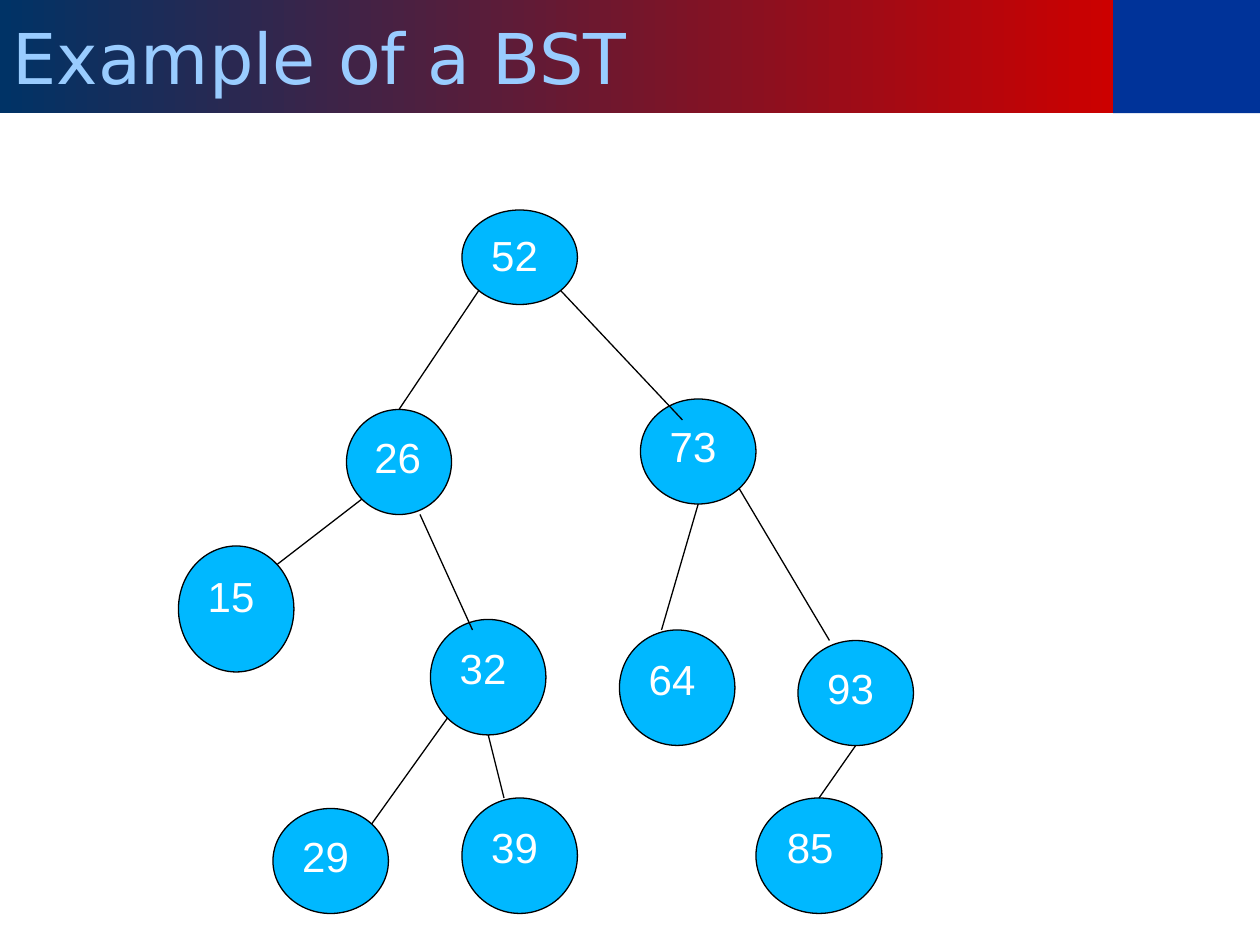
from lxml import etree
from pptx import Presentation
from pptx import util as u
from pptx.dml import color
from pptx.enum import shapes, text
from pptx.oxml import ns

Pt = u.Pt


def rgb(hex_value):
    return color.RGBColor.from_string(hex_value)


def style_text(frame, size, font_name, hex_value):
    """Left-align the frame's single paragraph and set its font."""
    frame.word_wrap = True
    frame.auto_size = text.MSO_AUTO_SIZE.NONE
    paragraph = frame.paragraphs[0]
    paragraph.alignment = text.PP_ALIGN.LEFT
    font = paragraph.runs[0].font
    font.size, font.name = Pt(size), font_name
    font.color.rgb = rgb(hex_value)


deck = Presentation()
deck.slide_width, deck.slide_height = Pt(720), Pt(540)
slide = deck.slides.add_slide(deck.slide_layouts[5])

# Header: gradient title band and blue corner
title = slide.shapes.title
title.left, title.top, title.width, title.height = Pt(0), Pt(0), Pt(636), Pt(64.6)
title.fill.gradient()
title.fill.gradient_angle = 0
for stop, hex_value in zip(title.fill.gradient_stops, ("003366", "CC0000")):
    stop.color.rgb = rgb(hex_value)
title.text_frame.text = "Example of a BST"
title.text_frame.vertical_anchor = text.MSO_ANCHOR.MIDDLE
style_text(title.text_frame, 40, "DejaVu Sans", "99CCFF")

corner = slide.shapes.add_shape(
    shapes.MSO_SHAPE.RECTANGLE, Pt(636), Pt(0), Pt(84), Pt(64.6))
corner.shadow.inherit = False
corner.fill.solid()
corner.fill.fore_color.rgb = rgb("003399")
corner.line.fill.background()

# Tree nodes: key, left, top, width, height
nodes = [
    (52, 264, 120, 66, 54),
    (26, 198, 234, 60, 60),
    (73, 366, 228, 66, 60),
    (15, 102, 312, 66, 72),
    (32, 246, 354, 66, 66),
    (64, 354, 360, 66, 66),
    (93, 456, 366, 66, 60),
    (29, 156, 462, 66, 60),
    (39, 264, 456, 66, 66),
    (85, 432, 456, 72, 66),
]
for key, *box in nodes:
    node = slide.shapes.add_shape(shapes.MSO_SHAPE.OVAL, *map(Pt, box))
    node.shadow.inherit = False
    node.fill.solid()
    node.fill.fore_color.rgb = rgb("00B8FF")
    node.line.color.rgb = rgb("000000")
    node.line.width = Pt(0.75)
    node.text_frame.text = str(key)
    node.text_frame.vertical_anchor = text.MSO_ANCHOR.TOP
    style_text(node.text_frame, 24, "Arial", "FFFFFF")

# Branches, parent to child: start x, start y, end x, end y
branches = [
    (273.6, 166, 228, 234),    # 52 - 26
    (320.4, 166, 390, 240),    # 52 - 73
    (206.8, 285.2, 158.4, 322.5),  # 26 - 15
    (240, 294, 270, 360),      # 26 - 32
    (399, 288, 378, 360),      # 73 - 64
    (422.4, 279.2, 474, 366),  # 73 - 93
    (255.6, 410.4, 212.4, 470.8),  # 32 - 29
    (279, 420, 288, 456),      # 32 - 39
    (489, 426, 468, 456),      # 93 - 85
]
for ends in branches:
    branch = slide.shapes.add_connector(
        shapes.MSO_CONNECTOR.STRAIGHT, *map(Pt, ends))
    branch.line.color.rgb = rgb("000000")
    branch.line.width = Pt(0.75)
    etree.SubElement(branch._element.spPr, ns.qn("a:effectLst"))

deck.save("out.pptx")
